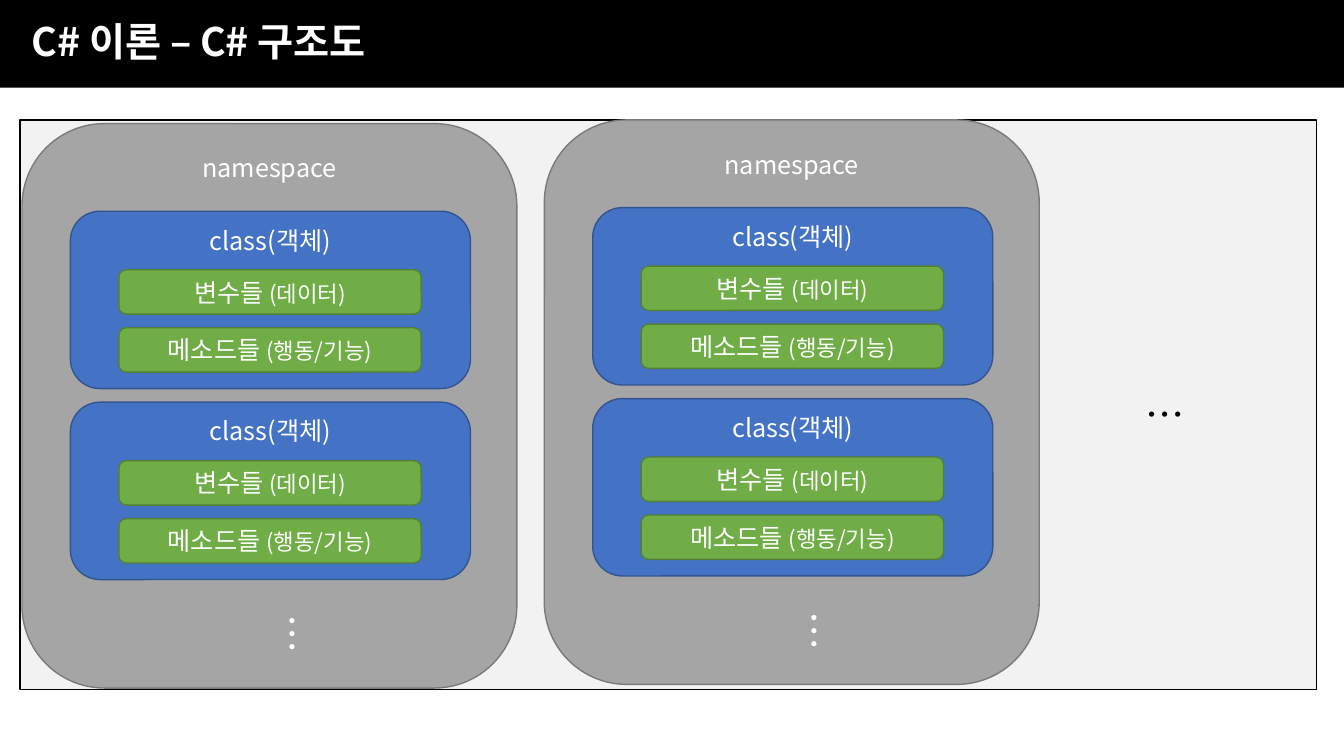
from lxml import etree
from pptx import Presentation
from pptx import util as u
from pptx.dml.color import RGBColor
from pptx.enum import shapes, text
from pptx.oxml.ns import qn

Pt = u.Pt
FONT = "Noto Sans CJK KR"
WHITE, BLACK = "FFFFFF", "000000"
TOP, MIDDLE = text.MSO_ANCHOR.TOP, text.MSO_ANCHOR.MIDDLE
RECT = shapes.MSO_SHAPE.RECTANGLE
ROUND = shapes.MSO_SHAPE.ROUNDED_RECTANGLE
MEMBERS = [("변수들 ", "(데이터)"), ("메소드들 ", "(행동/기능)")]


def rgb(value):
    return RGBColor.from_string(value)


def apply(target, values):
    for name, value in values.items():
        setattr(target, name, value)


def write(sp, runs, color=WHITE, bold=False, align=text.PP_ALIGN.CENTER, **frame):
    tf = sp.text_frame
    apply(tf, frame)
    p = tf.paragraphs[0]
    p.alignment = align
    for words, size in runs:
        r = p.add_run()
        r.text = words
        apply(r.font, {"size": Pt(size), "bold": bold})
        r.font.color.rgb = rgb(color)
        r.font.name = FONT
        etree.SubElement(r.font._element, qn("a:ea")).set("typeface", FONT)
    return p


def add_box(s, kind, box, fill, line):
    sp = s.shapes.add_shape(kind, *map(Pt, box))
    sp.shadow.inherit = False
    sp.fill.solid()
    sp.fill.fore_color.rgb = rgb(fill)
    sp.line.color.rgb = rgb(line)
    sp.line.width = Pt(1)
    return sp


def add_dots(s, box, color, vertical=False):
    sp = s.shapes.add_textbox(*map(Pt, box))
    write(sp, [("…", 28)], color, word_wrap=False,
          auto_size=text.MSO_AUTO_SIZE.SHAPE_TO_FIT_TEXT)
    if vertical:
        sp.element.txBody.bodyPr.set("vert", "eaVert")


def add_title(s, words, box):
    sp = s.shapes.title
    apply(sp, dict(zip(("left", "top", "width", "height"), map(Pt, box))))
    sp.fill.solid()
    sp.fill.fore_color.rgb = rgb(BLACK)
    p = write(sp, [(words, 28)], bold=True, align=text.PP_ALIGN.LEFT,
              vertical_anchor=MIDDLE, auto_size=text.MSO_AUTO_SIZE.NONE,
              margin_left=Pt(22.5), margin_right=Pt(7.2),
              margin_top=Pt(3.6), margin_bottom=Pt(3.6))
    apply(p, {"line_spacing": 0.9, "space_before": Pt(10)})


def add_class(s, box):
    x, y = box[:2]
    sp = add_box(s, ROUND, box, "4472C4", "325491")
    write(sp, [("class(객체)", 18)], vertical_anchor=TOP)
    for i, (name, role) in enumerate(MEMBERS):
        member = (x + 34.6, y + 41.8 + i * 41.4, 216, 31.7)
        sp = add_box(s, ROUND, member, "70AD47", "538035")
        write(sp, [(name, 18), (role, 16)], vertical_anchor=MIDDLE)


def add_namespace(s, box):
    x, y = box[:2]
    sp = add_box(s, ROUND, box, "A5A5A5", "7A7A7A")
    write(sp, [("namespace", 18)], vertical_anchor=TOP)
    for i in range(2):
        add_class(s, (x + 34.6, y + 62.6 + i * 136.4, 285.8, 126.7))
    add_dots(s, (x + 165.6, y + 343.8, 48.2, 28.1), WHITE, vertical=True)


def add_structure(s, box):
    x, y = box[:2]
    add_box(s, RECT, box, "F2F2F2", BLACK)
    for dx, dy in [(1.3, 2.6), (374.4, 0)]:
        add_namespace(s, (x + dx, y + dy, 353.5, 403.2))
    add_dots(s, (x + 797, y + 189.4, 35.3, 41), BLACK)


def main():
    prs = Presentation()
    apply(prs, {"slide_width": Pt(960), "slide_height": Pt(540)})
    s = prs.slides.add_slide(prs.slide_layouts[5])
    add_title(s, "C# 이론 – C# 구조도", (0, 0, 960, 62.6))
    add_structure(s, (14.4, 85.7, 926, 406.8))
    prs.save("out.pptx")


if __name__ == "__main__":
    main()
